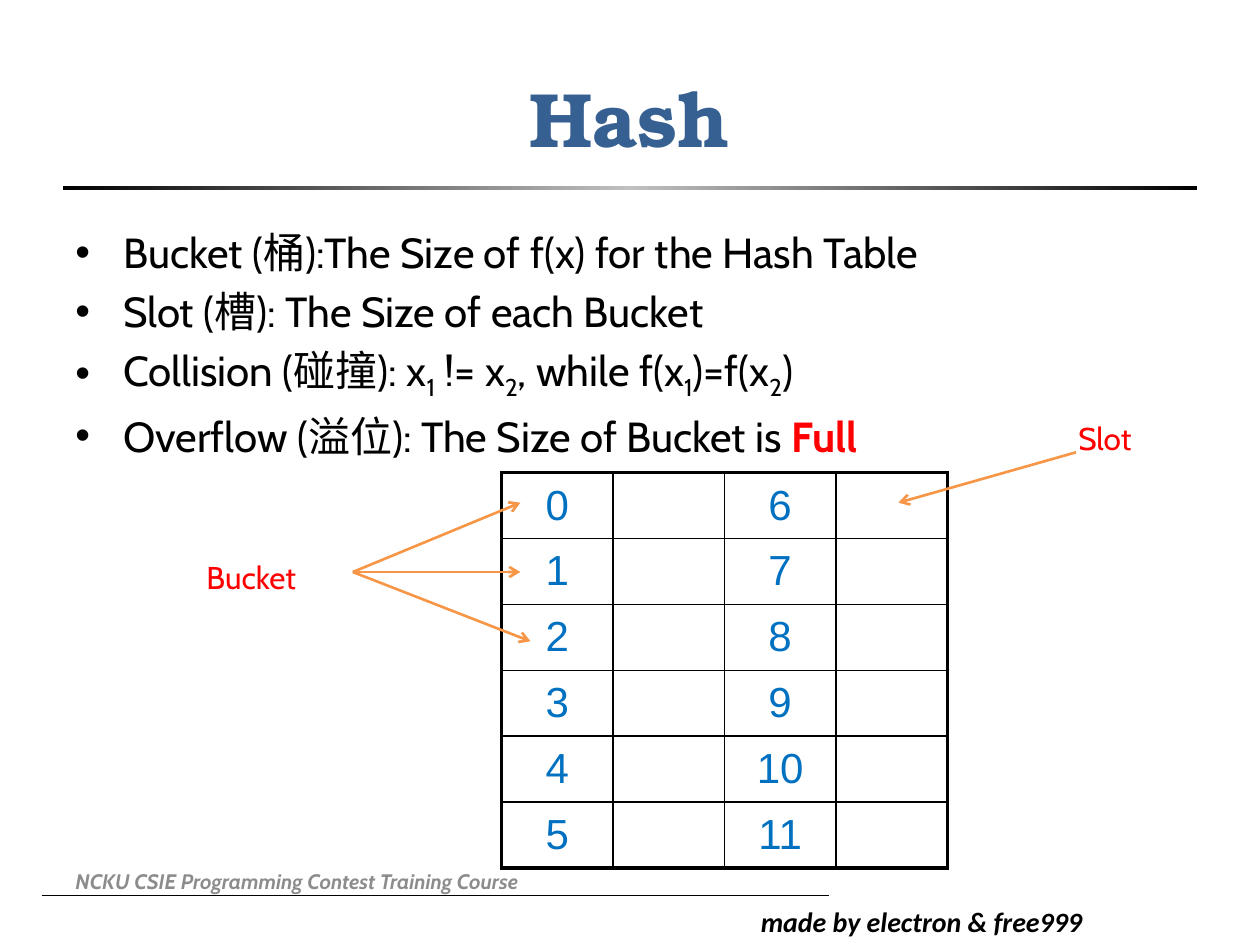
from lxml.etree import SubElement
from pptx import Presentation
from pptx.dml.color import RGBColor
from pptx.enum.shapes import MSO_CONNECTOR as Link, MSO_SHAPE as Shape
from pptx.enum.text import MSO_ANCHOR as Anchor, PP_ALIGN as Align
from pptx.oxml.ns import qn
from pptx.util import Inches, Pt

BLACK, RED, BLUE, ORANGE = "000000", "FF0000", "0070C0", "F79646"
BODY = {"name": "Cabin", "size": 24, "color": BLACK}
LABEL = {"name": "Cabin", "size": 18, "color": RED}
CELL = {"name": "Arial", "size": 24, "color": BLUE}
SUB = {"sub": True}

# text, (left, top, width, height), format, alignment, anchor
TEXTS = [
    ("made by electron & free999", (5.94, 7.13, 3.07, 0.37),
     {"name": "Calibri", "size": 16, "color": BLACK, "bold": True, "italic": True},
     Align.LEFT, Anchor.TOP),
    ("Hash", (0.5, 0.3, 9, 1.25),
     {"name": "TeX Gyre Bonum", "size": 44, "color": "376092", "bold": True},
     Align.CENTER, Anchor.MIDDLE),
    ("NCKU CSIE Programming Contest Training Course", (0.5, 6.79, 4.66, 0.4),
     {"name": "Cabin", "size": 12, "color": "8C8C8C", "bold": True, "italic": True},
     Align.LEFT, Anchor.MIDDLE),
    ("Slot", (8.46, 3.28, 1.26, 0.4), LABEL, Align.LEFT, Anchor.TOP),
    ("Bucket", (1.54, 4.38, 1.1, 0.4), LABEL, Align.LEFT, Anchor.TOP),
]
POINTS = [
    [("Bucket (桶):The Size of f(x) for the Hash Table", {})],
    [("Slot (槽): The Size of each Bucket", {})],
    [("Collision (碰撞): x", {}), ("1", SUB), (" != x", {}), ("2", SUB),
     (", while f(x", {}), ("1", SUB), (")=f(x", {}), ("2", SUB), (")", {})],
    [("Overflow (溢位): The Size of Bucket is ", {}),
     ("Full", {"color": RED, "bold": True})],
]
ROWS, COLS = 6, 4
GRID = (3.98, 3.75, 3.54, 3.14)
FORK = (2.8, 4.54)
ARROWS = [
    ((8.54, 3.59), (7.13, 3.99)),
    (FORK, (4.13, 4.54)),
    (FORK, (4.21, 5.09)),
    (FORK, (4.13, 3.99)),
]


def rgb(code):
    return RGBColor.from_string(code)


def style(run, form):
    for key, value in form.items():
        if key == "color":
            run.font.color.rgb = rgb(value)
        elif key == "sub":
            run._r.get_or_add_rPr().set("baseline", "-25000")
        else:
            setattr(run.font, key, Pt(value) if key == "size" else value)


def write(para, text, form):
    run = para.add_run()
    run.text = text
    style(run, form)


def add_box(slide, place, anchor=Anchor.TOP):
    frame = slide.shapes.add_textbox(*map(Inches, place)).text_frame
    frame.word_wrap = True
    frame.vertical_anchor = anchor
    return frame


def add_line(slide, start, end, color, width, arrow=False):
    line = slide.shapes.add_connector(Link.STRAIGHT, *map(Inches, start + end))
    line.line.color.rgb = rgb(color)
    line.line.width = Pt(width)
    if arrow:
        SubElement(line.line._get_or_add_ln(), qn("a:tailEnd"), type="arrow")
    SubElement(line._element.spPr, qn("a:effectLst"))


def add_rule(slide):
    """Draw the bar under the title, dark at both ends and light in the middle."""
    bar = slide.shapes.add_shape(Shape.RECTANGLE, *map(Inches, (0.5, 1.48, 9, 0.03)))
    bar.shadow.inherit = False
    bar.line.fill.background()
    bar.fill.gradient()
    bar.fill.gradient_angle = 0
    stops = bar._element.spPr.find(".//" + qn("a:gsLst"))
    for stop in list(stops):
        stops.remove(stop)
    for place, color in ((0, BLACK), (50, "C0C0C0"), (100, BLACK)):
        stop = SubElement(stops, qn("a:gs"), pos=str(place * 1000))
        SubElement(stop, qn("a:srgbClr"), val=color)


def add_points(slide):
    frame = add_box(slide, (0.5, 1.75, 9, 4.95))
    for i, parts in enumerate(POINTS):
        para = frame.add_paragraph() if i else frame.paragraphs[0]
        para.alignment = Align.JUSTIFY
        if i:
            para.space_before = Pt(4.8)
        props = para._p.get_or_add_pPr()
        props.set("marL", str(Inches(0.38)))
        props.set("indent", str(Inches(-0.38)))
        SubElement(props, qn("a:buFont"), typeface="Arial")
        SubElement(props, qn("a:buChar"), char="•")
        for text, extra in parts:
            write(para, text, BODY | extra)


def add_edges(cell, row, col):
    """Rule a cell: thick on the outside of the grid, thin inside."""
    outer = {"L": col == 0, "R": col == COLS - 1, "T": row == 0, "B": row == ROWS - 1}
    props = cell._tc.get_or_add_tcPr()
    for side, thick in outer.items():
        edge = SubElement(props, qn("a:ln" + side), w=str(Pt(2.25 if thick else 1)))
        fill = SubElement(edge, qn("a:solidFill"))
        SubElement(fill, qn("a:srgbClr"), val=BLACK)


def add_grid(slide):
    table = slide.shapes.add_table(ROWS, COLS, *map(Inches, GRID)).table
    table.first_row = table.horz_banding = False
    for column in table.columns:
        column.width = Inches(GRID[2] / COLS)
    for r in range(ROWS):
        table.rows[r].height = Inches(GRID[3] / ROWS)
        for c in range(COLS):
            cell = table.cell(r, c)
            add_edges(cell, r, c)
            cell.fill.background()
            cell.vertical_anchor = Anchor.MIDDLE
            if c % 2 == 0:
                para = cell.text_frame.paragraphs[0]
                para.alignment = Align.CENTER
                write(para, str(r + c // 2 * ROWS), CELL)


def main():
    deck = Presentation()
    deck.slide_width, deck.slide_height = Inches(10), Inches(7.5)
    slide = deck.slides.add_slide(deck.slide_layouts[6])
    add_line(slide, (0.33, 7.11), (6.58, 7.11), BLACK, 0.5)
    add_rule(slide)
    add_points(slide)
    add_grid(slide)
    for text, place, form, align, anchor in TEXTS:
        para = add_box(slide, place, anchor).paragraphs[0]
        para.alignment = align
        write(para, text, form)
    for start, end in ARROWS:
        add_line(slide, start, end, ORANGE, 1.5, arrow=True)
    deck.save("out.pptx")


if __name__ == "__main__":
    main()
